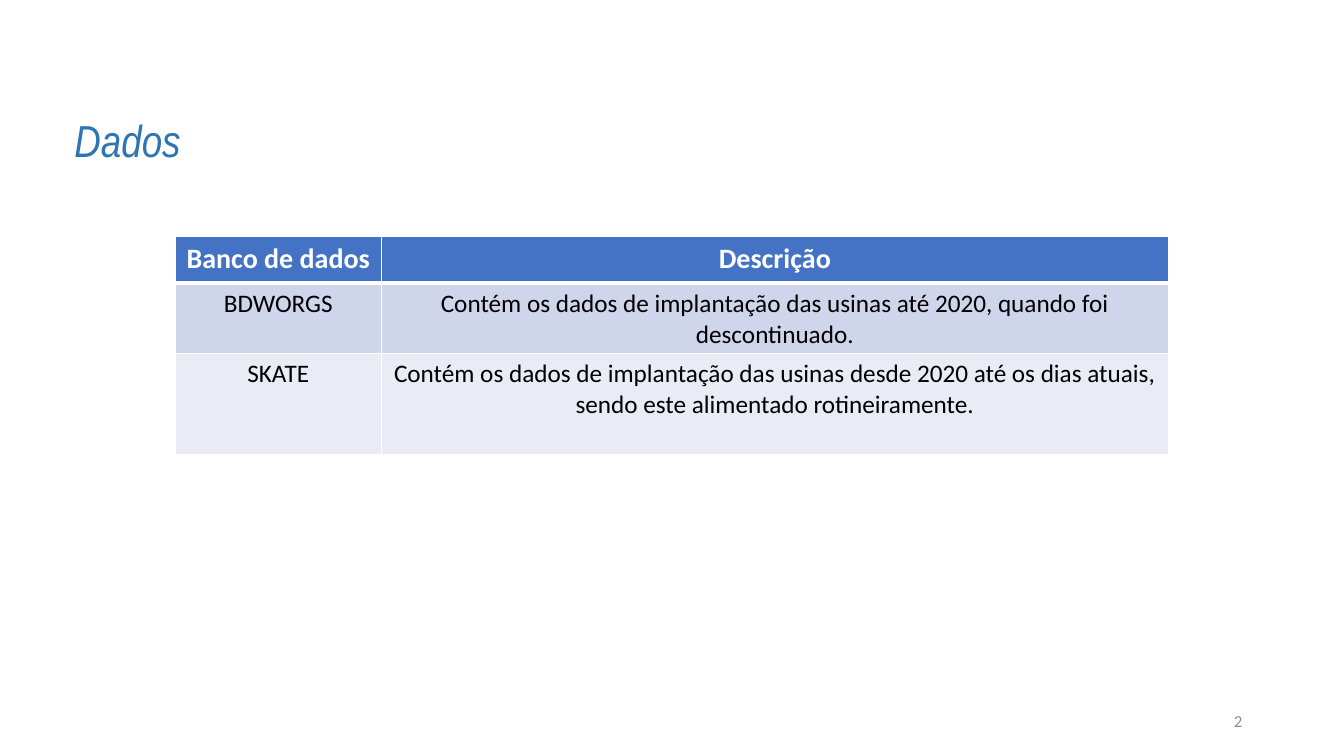
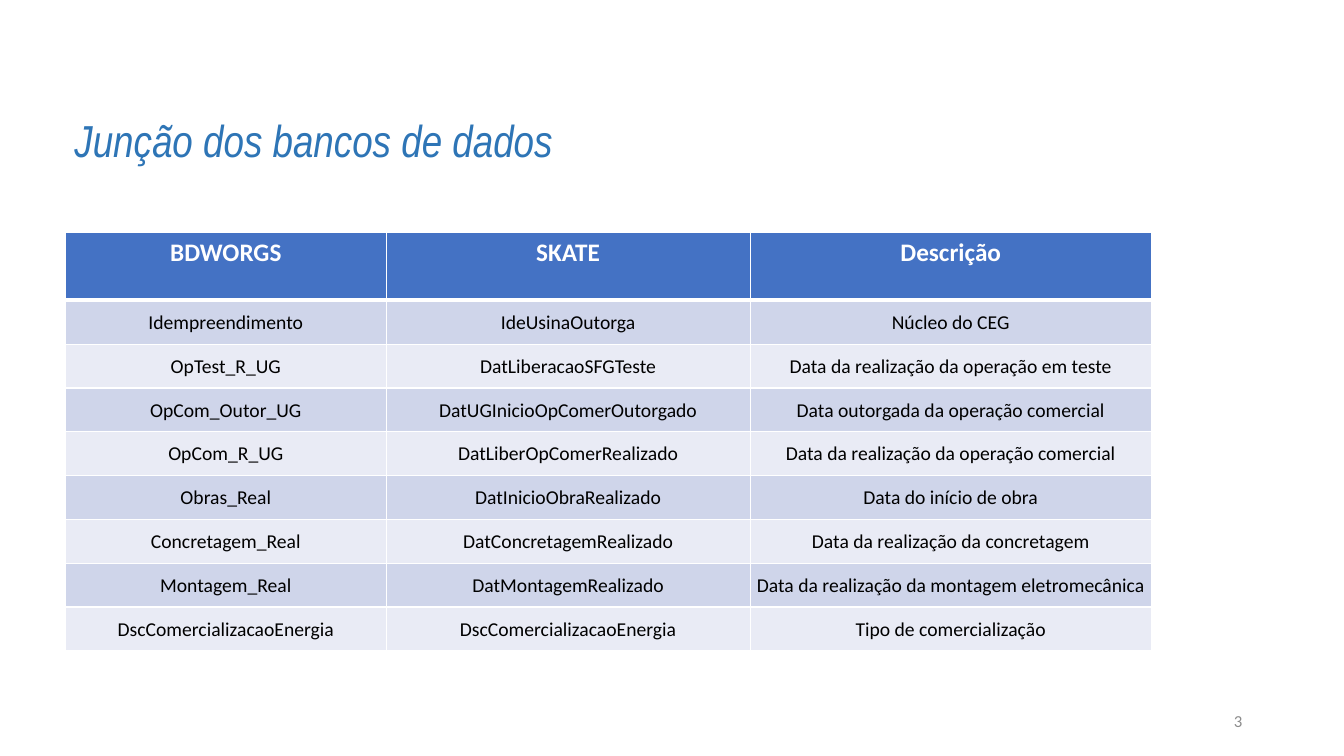
import pptx
import pptx.util
import pptx.dml.color
import pptx.enum.text
import pptx.oxml
import pptx.oxml.ns

Inches = pptx.util.Inches
Pt = pptx.util.Pt
Align = pptx.enum.text.PP_ALIGN
Anchor = pptx.enum.text.MSO_ANCHOR

BLUE, HEADER, GREY = "2E75B6", "4472C4", "8C8C8C"
WHITE, BLACK = "FFFFFF", "000000"
BANDS = ["CFD5EA", "E9EBF5"]
CELL_INSETS = (0.1, 0.05, 0.1, 0.05)
TIGHT_INSETS = (0.01, 0.01, 0.01, 0)

SLIDES = [
    {
        "title": "Dados",
        "number": "2",
        "corner": (1.74, 2.35),
        "columns": [2.04, 7.81],
        "heights": [0.46, 0.7, 1.0],
        "sizes": (20, 18),
        "anchor": Anchor.TOP,
        "insets": CELL_INSETS,
        "rows": [
            ("Banco de dados", "Descrição"),
            ("BDWORGS", "Contém os dados de implantação das usinas até 2020, "
                        "quando foi descontinuado."),
            ("SKATE", "Contém os dados de implantação das usinas desde 2020 até os "
                      "dias atuais, sendo este alimentado rotineiramente."),
        ],
    },
    {
        "title": "Junção dos bancos de dados",
        "number": "3",
        "corner": (0.65, 2.31),
        "columns": [3.18, 3.61, 3.98],
        "heights": [0.67] + [0.435] * 8,
        "sizes": (18, 14),
        "anchor": Anchor.MIDDLE,
        "insets": TIGHT_INSETS,
        "rows": [
            ("BDWORGS", "SKATE", "Descrição"),
            ("Idempreendimento", "IdeUsinaOutorga", "Núcleo do CEG"),
            ("OpTest_R_UG", "DatLiberacaoSFGTeste",
             "Data da realização da operação em teste"),
            ("OpCom_Outor_UG", "DatUGInicioOpComerOutorgado",
             "Data outorgada da operação comercial"),
            ("OpCom_R_UG", "DatLiberOpComerRealizado",
             "Data da realização da operação comercial"),
            ("Obras_Real", "DatInicioObraRealizado", "Data do início de obra"),
            ("Concretagem_Real", "DatConcretagemRealizado",
             "Data da realização da concretagem"),
            ("Montagem_Real", "DatMontagemRealizado",
             "Data da realização da montagem eletromecânica"),
            ("DscComercializacaoEnergia", "DscComercializacaoEnergia",
             "Tipo de comercialização"),
        ],
    },
]


def color(value):
    return pptx.dml.color.RGBColor.from_string(value)


def write(frame, text, size, font, ink, align, bold=False, italic=False):
    frame.text = text
    paragraph = frame.paragraphs[0]
    paragraph.alignment = align
    style = paragraph.runs[0].font
    style.size, style.name = Pt(size), font
    style.bold, style.italic = bold, italic
    style.color.rgb = color(ink)


def add_text(page, place, text, anchor, *look, **emphasis):
    box = page.shapes.add_textbox(*[Inches(length) for length in place])
    box.text_frame.word_wrap = True
    box.text_frame.vertical_anchor = anchor
    write(box.text_frame, text, *look, **emphasis)


def add_borders(cell, top, bottom):
    properties = cell._tc.get_or_add_tcPr()
    widths = {"lnL": 1, "lnR": 1, "lnT": top, "lnB": bottom}
    for position, (side, width) in enumerate(widths.items()):
        line = pptx.oxml.parse_xml(
            f'<a:{side} {pptx.oxml.ns.nsdecls("a")} w="{Pt(width)}">'
            f'<a:solidFill><a:srgbClr val="{WHITE}"/></a:solidFill></a:{side}>')
        properties.insert(position, line)


def add_data_table(page, content):
    rows, columns, heights = content["rows"], content["columns"], content["heights"]
    place = (*content["corner"], sum(columns), sum(heights))
    table = page.shapes.add_table(len(rows), len(columns),
                                  *[Inches(length) for length in place]).table
    for column, width in zip(table.columns, columns):
        column.width = Inches(width)
    for index, (row, height, texts) in enumerate(zip(table.rows, heights, rows)):
        row.height = Inches(height)
        header = index == 0
        insets = CELL_INSETS if header else content["insets"]
        for cell, text in zip(row.cells, texts):
            cell.margin_left, cell.margin_top, cell.margin_right, cell.margin_bottom = [
                Inches(inset) for inset in insets]
            cell.vertical_anchor = Anchor.TOP if header else content["anchor"]
            cell.fill.solid()
            cell.fill.fore_color.rgb = color(HEADER if header else BANDS[(index - 1) % 2])
            add_borders(cell, 3 if index == 1 else 1, 3 if header else 1)
            write(cell.text_frame, text, content["sizes"][0 if header else 1], "Calibri",
                  WHITE if header else BLACK, Align.CENTER, bold=header)


deck = pptx.Presentation()
deck.slide_width, deck.slide_height = Inches(13.33), Inches(7.5)
for content in SLIDES:
    page = deck.slides.add_slide(deck.slide_layouts[6])
    add_text(page, (9.42, 6.95, 3, 0.4), content["number"], Anchor.MIDDLE,
             12, "Calibri", GREY, Align.RIGHT)
    add_text(page, (0.64, 1.07, 12.04, 0.64), content["title"], Anchor.TOP,
             32, "Arial Narrow", BLUE, Align.LEFT, italic=True)
    add_data_table(page, content)
deck.save("out.pptx")
